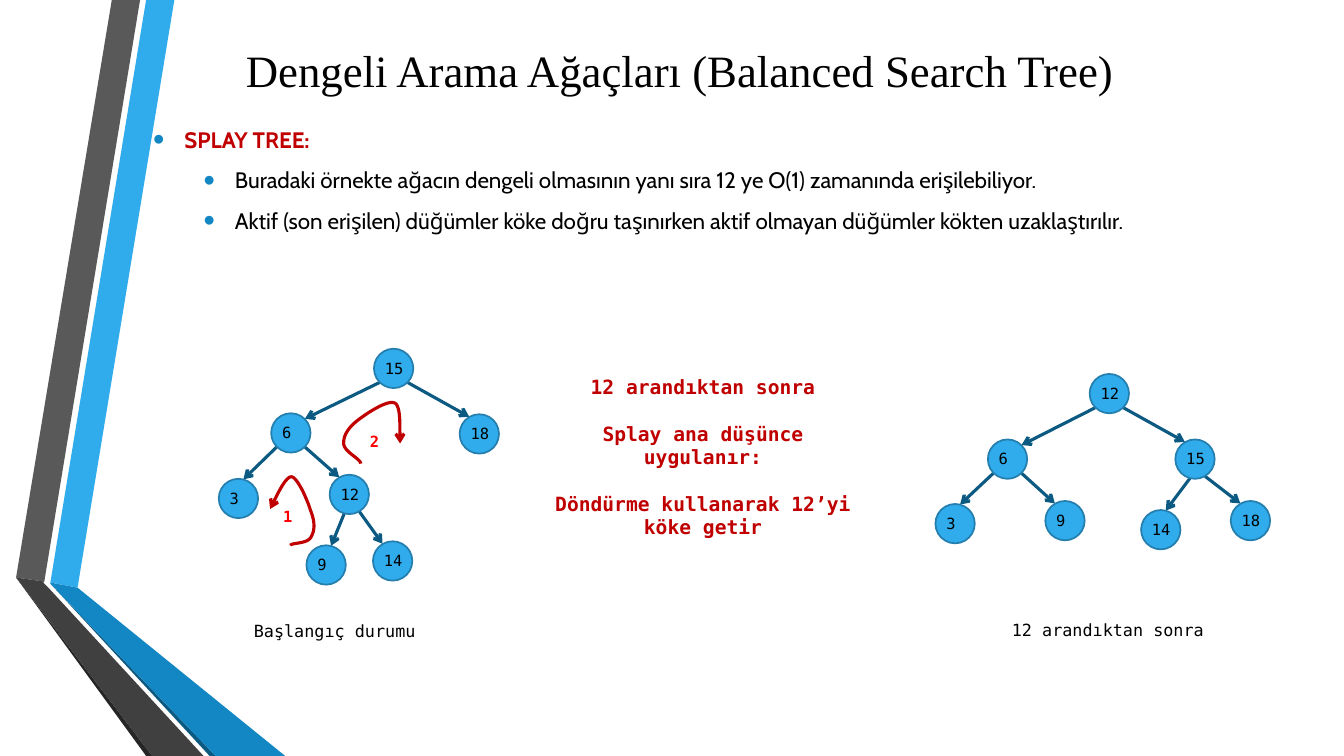
from itertools import chain
from lxml.etree import SubElement
from pptx import Presentation
from pptx.dml.color import RGBColor
from pptx.enum.shapes import MSO_CONNECTOR, MSO_SHAPE
from pptx.enum.text import MSO_ANCHOR, PP_ALIGN
from pptx.oxml.ns import qn
from pptx.util import Inches, Pt

BLACK = RGBColor(0x00, 0x00, 0x00)
CRIMSON = RGBColor(0xC0, 0x00, 0x00)
RED = RGBColor(0xFF, 0x00, 0x00)
SKY = RGBColor(0x30, 0xAC, 0xEC)
RIM = RGBColor(0x24, 0x7F, 0xAF)
BLUE = RGBColor(0x12, 0x87, 0xC3)
NAVY = RGBColor(0x0C, 0x5A, 0x82)
GRAY = RGBColor(0x59, 0x59, 0x59)
CHARCOAL = RGBColor(0x40, 0x40, 0x40)
COAL = RGBColor(0x26, 0x26, 0x26)

COLS, ROWS = 133.33, 75
NODE = 3.9
MONO, SANS, SERIF = "DejaVu Sans Mono", "Cabin", "Times New Roman"

RIBBONS = [
    (SKY, [(5, 57.8), (7.7, 58.3), (17.3, 0), (14.5, 0)]),
    (GRAY, [(13.9, 0), (11.1, 0), (1.6, 57.3), (4.4, 57.7)]),
    (COAL, [(1.6, 57.3), (14.5, ROWS), (15.1, ROWS)]),
    (NAVY, [(5, 57.9), (20.8, ROWS), (21.4, ROWS)]),
    (BLUE, [(5, 57.9), (21.4, ROWS), (28.3, ROWS), (7.7, 58.3), (5, 57.8)]),
    (CHARCOAL, [(20.2, ROWS), (4.8, 58.3), (4.3, 57.8), (4.4, 57.7), (1.6, 57.3), (15.1, ROWS)]),
]

BULLETS = [
    (0, "SPLAY TREE:", CRIMSON, True),
    (1, "Buradaki örnekte ağacın dengeli olmasının yanı sıra 12 ye O(1) zamanında erişilebiliyor.",
     BLACK, False),
    (1, "Aktif (son erişilen) düğümler köke doğru taşınırken aktif olmayan düğümler kökten uzaklaştırılır.",
     BLACK, False),
]

EDGE_ENDS = {
    "root left": ((-1.4, 1.4), (1.4, -1.4)),
    "left": ((-1.4, 1.4), (0.5, -1.9)),
    "right": ((1.4, 1.4), (-1, -1.7)),
    "low left": ((-0.5, 1.9), (0.5, -1.9)),
    "low right": ((1, 1.7), (-1, -1.7)),
}

TREE_BEFORE = (
    {"15": (37.1, 34.6), "6": (26.9, 41), "18": (45.6, 41.1), "3": (21.7, 47.5),
     "12": (32.7, 47.1), "14": (37, 53.7), "9": (30.4, 54.1)},
    [("15", "6", "root left"), ("15", "18", "right"), ("6", "3", "left"),
     ("6", "12", "right"), ("12", "14", "low right"), ("12", "9", "low left")],
)
TREE_AFTER = (
    {"12": (108.1, 37.1), "6": (98, 43.6), "15": (116.6, 43.6), "3": (92.8, 50),
     "9": (103.7, 49.7), "18": (122.1, 49.7), "14": (113.2, 50.6)},
    [("12", "6", "root left"), ("12", "15", "right"), ("6", "3", "left"),
     ("6", "9", "right"), ("15", "18", "low right"), ("15", "14", "low left")],
)

ROTATIONS = [
    ("1", (27.1, 49.8), (28.8, 54.1),
     [((29, 53.8), (30.6, 54), (30.9, 53.2)), ((31.3, 52.5), (31.2, 51.6), (30.8, 50.6)),
      ((30.5, 49.6), (29.5, 47.3), (28.9, 47.3)), ((28.2, 47.3), (27.1, 50), (26.8, 50.5))]),
    ("2", (35.7, 42.4), (35.8, 46),
     [((35.8, 45.5), (34, 44.8), (34.1, 43.9)), ((34.1, 43.1), (34.7, 42.3), (35.5, 41.7)),
      ((36.4, 41), (38.5, 39.6), (39.2, 40)), ((39.9, 40.4), (39.6, 43.4), (39.7, 44))]),
]


def assign(obj, **values):
    """Set each named value as an attribute of the object."""
    for name, value in values.items():
        setattr(obj, name, value)


def bezier(start, curves, steps=16):
    """List the points along a chain of cubic curves."""
    points = [start]
    for a, b, end in curves:
        for t in (i / steps for i in range(1, steps + 1)):
            u = 1 - t
            points.append(tuple(u**3 * p + 3 * u * u * t * q + 3 * u * t * t * v + t**3 * w
                                for p, q, v, w in zip(start, a, b, end)))
        start = end
    return points


class SlideBuilder:
    """Draws elements on one slide whose grid has ten cells to the inch."""

    def __init__(self, prs):
        """Add a title and body slide to the presentation."""
        assign(prs, slide_width=self.grid(COLS), slide_height=self.grid(ROWS))
        self.s = prs.slides.add_slide(prs.slide_layouts[1])

    def grid(self, cells):
        """Turn grid cells into a length."""
        return Inches(cells / 10)

    def run(self, p, text, color, **font):
        """Add a formatted run to a paragraph."""
        r = p.add_run()
        r.text = text
        assign(r.font, **font)
        r.font.color.rgb = color

    def placeholder(self, index, box, anchor):
        """Move a placeholder to the front and return its text frame."""
        ph = self.s.placeholders[index]
        assign(ph, **dict(zip(("left", "top", "width", "height"), map(self.grid, box))))
        self.s.shapes.element.append(ph.element)
        ph.text_frame.vertical_anchor = anchor
        return ph.text_frame

    def title(self, text, box):
        """Fill the title placeholder."""
        p = self.placeholder(0, box, MSO_ANCHOR.MIDDLE).paragraphs[0]
        p.alignment = PP_ALIGN.CENTER
        self.run(p, text, BLACK, name=SERIF, size=Pt(32))

    def bullets(self, items, box):
        """Fill the body placeholder with a two-level list."""
        tf = self.placeholder(1, box, MSO_ANCHOR.TOP)
        for i, (level, text, color, bold) in enumerate(items):
            p = tf.add_paragraph() if i else tf.paragraphs[0]
            pPr = p._p.get_or_add_pPr()
            pPr.set("marL", str(Inches(0.31 + 0.5 * level)))
            pPr.set("indent", str(Inches(-0.31)))
            SubElement(SubElement(pPr, qn("a:buClr")), qn("a:srgbClr"), val=str(BLUE))
            SubElement(pPr, qn("a:buSzPct"), val="145000")
            SubElement(pPr, qn("a:buFont"), typeface="Arial")
            SubElement(pPr, qn("a:buChar"), char="•")
            assign(p, level=level, alignment=PP_ALIGN.JUSTIFY, line_spacing=1.5,
                   space_before=Pt(0), space_after=Pt(0))
            self.run(p, text, color, name=SANS, size=Pt(16), bold=bold)

    def text(self, lines, box, size, color=BLACK, bold=False, align=PP_ALIGN.LEFT, gap=0):
        """Add a monospaced text box with one paragraph a line."""
        tf = self.s.shapes.add_textbox(*map(self.grid, box)).text_frame
        tf.word_wrap = True
        for i, line in enumerate(lines):
            p = tf.add_paragraph() if i else tf.paragraphs[0]
            assign(p, alignment=align, space_before=Pt(gap if i else 0))
            self.run(p, line, color, name=MONO, size=Pt(size), bold=bold)

    def outline(self, points, closed):
        """Add a freeform through the points."""
        start, *rest = [tuple(map(self.grid, point)) for point in points]
        builder = self.s.shapes.build_freeform(*start)
        builder.add_line_segments(rest, close=closed)
        sp = builder.convert_to_shape()
        sp.shadow.inherit = False
        return sp

    def ribbon(self, color, points):
        """Add a filled band without a line."""
        sp = self.outline(points, True)
        sp.fill.solid()
        sp.fill.fore_color.rgb = color
        sp.line.fill.background()

    def arrow_line(self, sp, color):
        """Give a line its colour, width and arrowhead."""
        sp.line.color.rgb = color
        sp.line.width = Pt(2.25)
        SubElement(sp.element.spPr.find(qn("a:ln")), qn("a:tailEnd"), type="arrow")

    def curved_arrow(self, start, curves):
        """Add a curved rotation arrow."""
        sp = self.outline(bezier(start, curves), False)
        sp.fill.background()
        self.arrow_line(sp, CRIMSON)

    def edge(self, start, end):
        """Add a straight arrow between two points."""
        sp = self.s.shapes.add_connector(MSO_CONNECTOR.STRAIGHT, *map(self.grid, chain(start, end)))
        self.arrow_line(sp, NAVY)
        SubElement(sp.element.spPr, qn("a:effectLst"))

    def node(self, key, x, y):
        """Add a circle and its key."""
        sp = self.s.shapes.add_shape(MSO_SHAPE.OVAL, *map(self.grid, (x, y, NODE, NODE)))
        sp.shadow.inherit = False
        sp.fill.solid()
        sp.fill.fore_color.rgb = SKY
        sp.line.color.rgb = RIM
        sp.line.width = Pt(1.25)
        self.text([key], (x + 0.1, y + 0.5, 4, 2.9), 11)

    def tree(self, nodes, edges):
        """Add the edges and nodes of a tree."""
        for parent, child, kind in edges:
            self.edge(*[[c + NODE / 2 + d for c, d in zip(nodes[key], shift)]
                        for key, shift in zip((parent, child), EDGE_ENDS[kind])])
        for key, (x, y) in nodes.items():
            self.node(key, x, y)


def main():
    """Build the splay tree slide."""
    prs = Presentation()
    b = SlideBuilder(prs)
    for color, points in RIBBONS:
        b.ribbon(color, points)
    b.title("Dengeli Arama Ağaçları (Balanced Search Tree)", (15.5, 1.7, 103.9, 10.4))
    b.bullets(BULLETS, (14.2, 10.7, 111.1, 20.2))
    b.text(["Başlangıç durumu"], (24.2, 61.1, 19.3, 3), 12)
    b.text(["12 arandıktan sonra", "Splay ana düşünce uygulanır:",
            "Döndürme kullanarak 12’yi köke getir"],
           (53, 36.7, 33.5, 15.1), 14, CRIMSON, True, PP_ALIGN.CENTER, 16.5)
    b.tree(*TREE_AFTER)
    b.tree(*TREE_BEFORE)
    for step, (x, y), start, curves in ROTATIONS:
        b.curved_arrow(start, curves)
        b.text([step], (x, y, 4, 2.9), 11, RED, True)
    b.text(["12 arandıktan sonra"], (99.4, 61, 25, 3), 12)
    prs.save("out.pptx")


if __name__ == "__main__":
    main()
